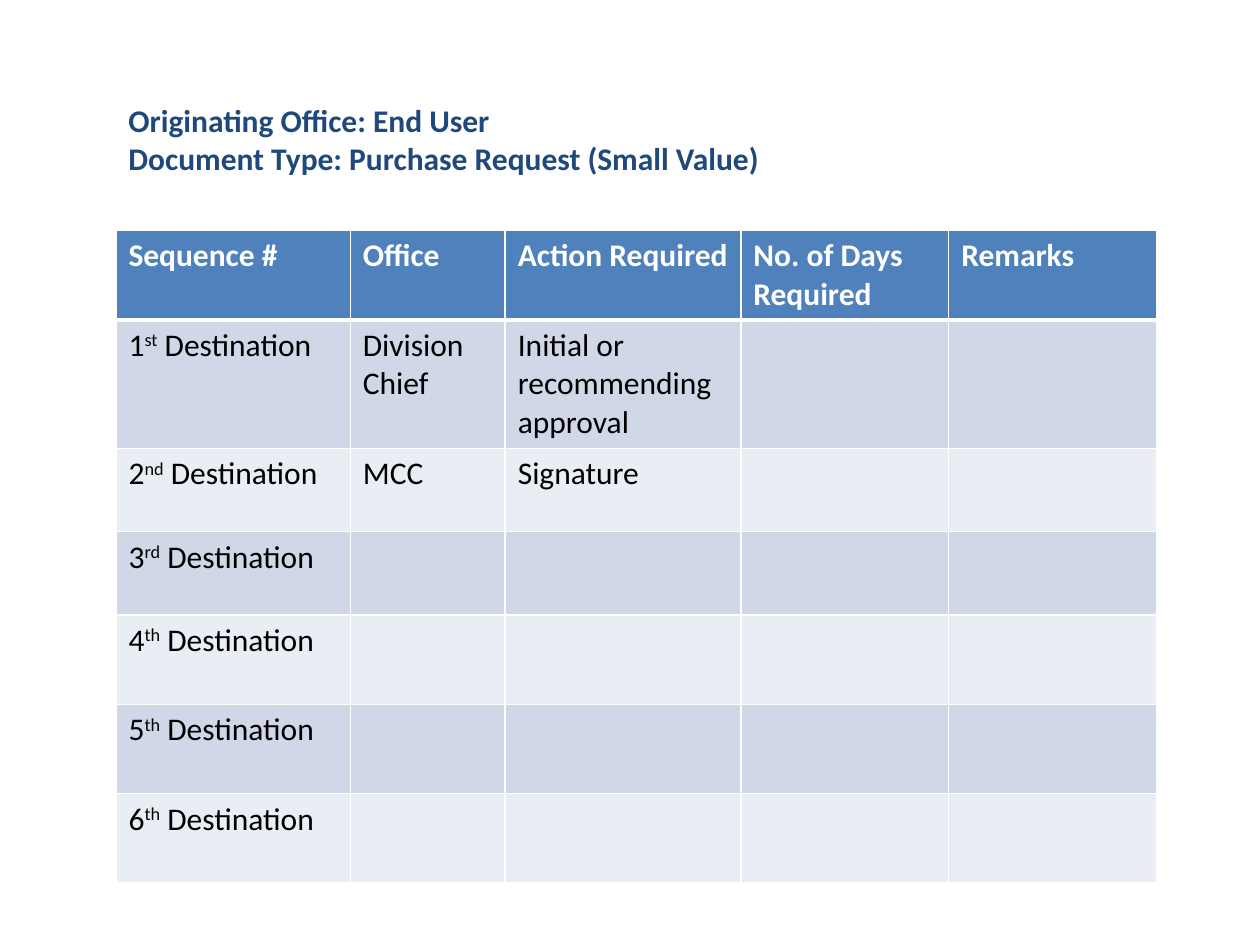
from dataclasses import dataclass

from lxml import etree
from pptx import Presentation
from pptx.dml.color import RGBColor
from pptx.oxml.ns import qn
from pptx.util import Inches, Pt

# Content
HEADING = ["Originating Office: End User",
           "Document Type: Purchase Request (Small Value)"]
COLUMNS = [("Sequence #", 1.86), ("Office", 1.23), ("Action Required", 1.87),
           ("No. of Days Required", 1.65), ("Remarks", 1.65)]
# Ordinal suffix, office, action, row height
DESTINATIONS = [
    ("st", "Division Chief", "Initial or recommending approval", 1.02),
    ("nd", "MCC", "Signature", 0.66),
    ("rd", "", "", 0.66),
    ("th", "", "", 0.71),
    ("th", "", "", 0.71),
    ("th", "", "", 0.71),
]
HEADER_HEIGHT = 0.69
LEFT, WIDTH = 0.92, 8.25


@dataclass(frozen=True)
class Theme:
    font: str = "Calibri"
    size: int = 18
    heading: str = "1F497D"
    header_fill: str = "4F81BD"
    header_text: str = "FFFFFF"
    body_text: str = "000000"
    bands: tuple = ("D0D8E8", "E9EDF4")
    rule: str = "FFFFFF"
    thin: int = 1
    thick: int = 3


THEME = Theme()


def add_run(paragraph, text, color, bold=False, raised=False):
    run = paragraph.add_run()
    run.text = text
    font = run.font
    font.name, font.size, font.bold = THEME.font, Pt(THEME.size), bold
    font.color.rgb = RGBColor.from_string(color)
    if raised:
        run._r.get_or_add_rPr().set("baseline", "30000")


def style_cell(cell, fill, top, bottom):
    """Draw the cell's rules, then its fill."""
    properties = cell._tc.get_or_add_tcPr()
    widths = {"lnL": THEME.thin, "lnR": THEME.thin, "lnT": top, "lnB": bottom}
    for side, width in widths.items():
        line = etree.SubElement(properties, qn(f"a:{side}"), w=str(Pt(width)))
        solid = etree.SubElement(line, qn("a:solidFill"))
        etree.SubElement(solid, qn("a:srgbClr"), val=THEME.rule)
    cell.fill.solid()
    cell.fill.fore_color.rgb = RGBColor.from_string(fill)


def add_routing_table(slide):
    heights = [HEADER_HEIGHT] + [row[-1] for row in DESTINATIONS]
    table = slide.shapes.add_table(
        len(heights), len(COLUMNS), Inches(LEFT), Inches(1.83),
        Inches(WIDTH), Inches(sum(heights))).table
    for row, height in zip(table.rows, heights):
        row.height = Inches(height)

    # Header row
    for index, (title, width) in enumerate(COLUMNS):
        table.columns[index].width = Inches(width)
        cell = table.cell(0, index)
        style_cell(cell, THEME.header_fill, THEME.thin, THEME.thick)
        add_run(cell.text_frame.paragraphs[0], title, THEME.header_text, bold=True)

    # Destination rows
    for number, (suffix, office, action, _) in enumerate(DESTINATIONS, start=1):
        top = THEME.thick if number == 1 else THEME.thin
        for index in range(len(COLUMNS)):
            style_cell(table.cell(number, index),
                       THEME.bands[(number - 1) % 2], top, THEME.thin)
        sequence = table.cell(number, 0).text_frame.paragraphs[0]
        add_run(sequence, str(number), THEME.body_text)
        add_run(sequence, suffix, THEME.body_text, raised=True)
        add_run(sequence, " Destination", THEME.body_text)
        for index, text in enumerate((office, action), start=1):
            if text:
                add_run(table.cell(number, index).text_frame.paragraphs[0],
                        text, THEME.body_text)


def add_heading(slide):
    frame = slide.shapes.add_textbox(
        Inches(LEFT), Inches(0.75), Inches(WIDTH), Inches(0.71)).text_frame
    frame.word_wrap = True
    for index, text in enumerate(HEADING):
        paragraph = frame.add_paragraph() if index else frame.paragraphs[0]
        add_run(paragraph, text, THEME.heading, bold=True)


def main():
    deck = Presentation()
    deck.slide_width, deck.slide_height = Inches(10), Inches(7.5)
    slide = deck.slides.add_slide(deck.slide_layouts[6])
    add_routing_table(slide)
    add_heading(slide)
    deck.save("out.pptx")


if __name__ == "__main__":
    main()
